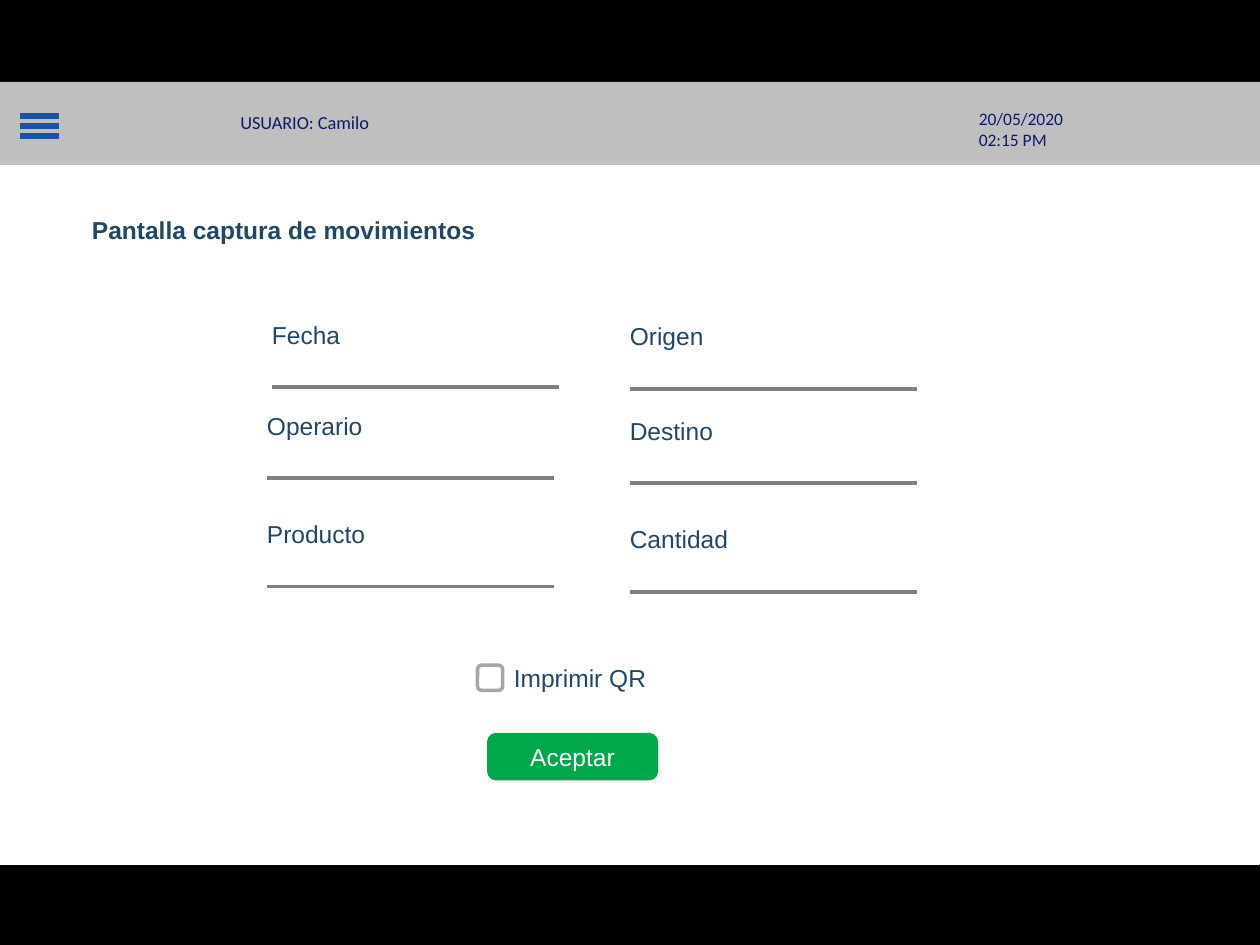
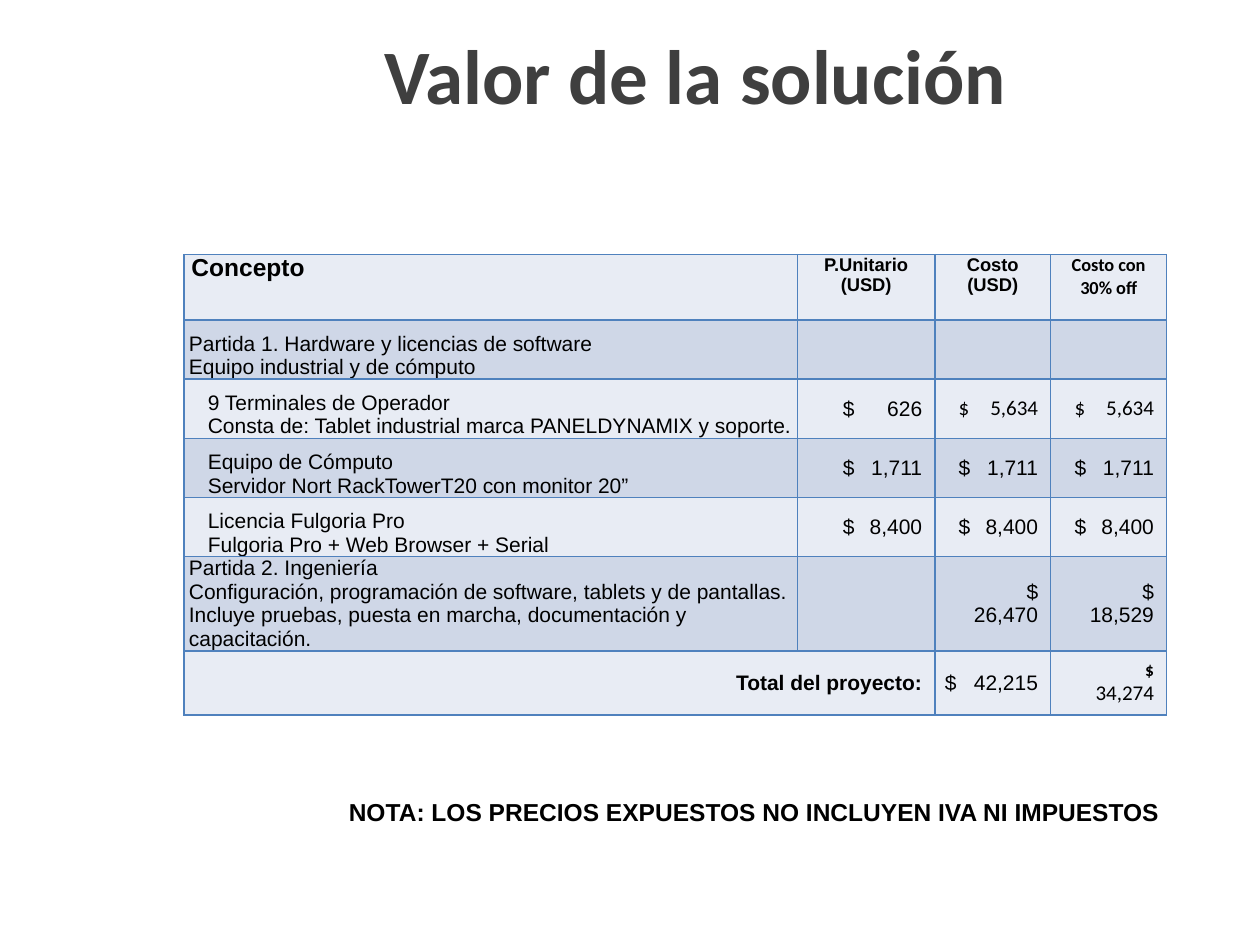
from lxml.etree import SubElement
from pptx import Presentation
from pptx.dml.color import RGBColor
from pptx.enum.shapes import MSO_CONNECTOR, MSO_SHAPE
from pptx.enum.text import MSO_ANCHOR, PP_ALIGN
from pptx.oxml.ns import qn
from pptx.util import Inches, Pt

COLORS = {
    "black": "000000", "white": "FFFFFF", "bar": "BFBFBF", "user": "0C1B67",
    "menu": "1B53A4", "label": "224765", "rule": "808080", "check": "A6A6A6",
    "accept": "00A74B", "title": "3F3F3F", "border": "4F81BD",
    "light": "E8ECF4", "dark": "CFD7E7",
}
RGB = {name: RGBColor.from_string(value) for name, value in COLORS.items()}

prs = Presentation()
prs.slide_width, prs.slide_height = Inches(10), Inches(7.5)
COLUMN, ROW = prs.slide_width // 100, prs.slide_height // 75


def area(left, top, width, height):
    """Grid of 100 columns by 75 rows."""
    return [round(n * unit) for n, unit in
            zip((left, top, width, height), (COLUMN, ROW, COLUMN, ROW))]


def write(frame, text, size, color="label", font="Arial", bold=False,
          align=PP_ALIGN.LEFT, anchor=MSO_ANCHOR.TOP, wrap=True):
    frame.text = text
    frame.word_wrap = wrap
    frame.vertical_anchor = anchor
    for paragraph in frame.paragraphs:
        paragraph.alignment = align
        for run in paragraph.runs:
            run.font.size, run.font.name, run.font.bold = Pt(size), font, bold
            run.font.color.rgb = RGB[color]


# Both slides share the title layout
capture, pricing = [prs.slides.add_slide(prs.slide_layouts[5]) for _ in range(2)]
titles = [
    (capture, "black", "Pantalla captura de movimientos", (6.3, 16.6, 32.6, 3.4),
     dict(size=14, wrap=False)),
    (pricing, "white", "Valor de la solución", (29.5, 1.3, 69.3, 9.1),
     dict(size=44, color="title", font="Calibri", anchor=MSO_ANCHOR.MIDDLE)),
]
for slide, background, heading, place, style in titles:
    slide.background.fill.solid()
    slide.background.fill.fore_color.rgb = RGB[background]
    title = slide.shapes.title
    title.left, title.top, title.width, title.height = area(*place)
    write(title.text_frame, heading, bold=True, **style)

# Slide 1: screen, top bar, button and check box
shapes = capture.shapes
panels = [
    (MSO_SHAPE.RECTANGLE, (0, 7, 99.9, 61.5), "white", "white", ""),
    (MSO_SHAPE.RECTANGLE, (-0.1, 6.5, 100.1, 6.6), "bar", None, ""),
    (MSO_SHAPE.ROUNDED_RECTANGLE, (38.8, 58.3, 13.3, 3.5), "accept", "accept", "Aceptar"),
    (MSO_SHAPE.ROUNDED_RECTANGLE, (37.9, 52.8, 2, 2), None, "check", ""),
]
for kind, place, fill, outline, caption in panels:
    panel = shapes.add_shape(kind, *area(*place))
    panel.shadow.inherit = False
    if fill:
        panel.fill.solid()
        panel.fill.fore_color.rgb = RGB[fill]
    else:
        panel.fill.background()
    if outline:
        panel.line.color.rgb = RGB[outline]
        panel.line.width = Pt(2)
    else:
        panel.line.fill.background()
    if caption:
        write(panel.text_frame, caption, 14, "white",
              align=PP_ALIGN.CENTER, anchor=MSO_ANCHOR.MIDDLE)

# Bring the heading in front of the white screen
shapes[-1]._element.addnext(shapes.title._element)

# Form fields: each label stands above its rule
fields = [
    ("Fecha", 20.6, 24.9), ("Operario", 20.2, 32.1), ("Producto", 20.2, 40.7),
    ("Origen", 49, 25), ("Destino", 49, 32.5), ("Cantidad", 49, 41.1),
]
user_style = dict(color="user", font="Calibri")
labels = [(name, (left, top, 21.5, 3.4), dict(size=14)) for name, left, top in fields]
labels += [
    ("Imprimir QR", (39.8, 52.1, 13.3, 3.4), dict(size=14)),
    ("USUARIO: Camilo", (18.1, 8.3, 18.4, 2.8), dict(size=10.5, **user_style)),
    ("20/05/2020\n02:15 PM", (76.7, 8.1, 9, 4.4), dict(size=10, **user_style)),
]
for text, place, style in labels:
    write(shapes.add_textbox(*area(*place)).text_frame, text, **style)

rules = [(left + 1, top + 5.85, 22.75, "rule", 2.25) for _, left, top in fields]
rules += [(1.6, 9.2 + 0.8 * bar, 3.1, "menu", 3.25) for bar in range(3)]
for left, top, length, color, weight in rules:
    x, y, width, _ = area(left, top, length, 0)
    rule = shapes.add_connector(MSO_CONNECTOR.STRAIGHT, x, y, x + width, y)
    rule.line.color.rgb = RGB[color]
    rule.line.width = Pt(weight)
    SubElement(rule._element.spPr, qn("a:effectLst"))

# Slide 2: price table; a tab sets the currency sign apart from the amount
column_widths = [48.7, 10.9, 9.2, 9.2]
row_heights = [5.2, 4.7, 4.7, 4.7, 4.7, 7.1, 5.1]
prices = [
    ["Concepto", "P.Unitario\n(USD)", "Costo (USD)", "Costo con 30% off"],
    ["Partida 1. Hardware y licencias de software\nEquipo industrial y de cómputo", "", "", ""],
    ["9 Terminales de Operador\nConsta de: Tablet industrial marca PANELDYNAMIX y soporte.",
     "\t$\t626", "\t$\t5,634", "\t$\t5,634"],
    ["Equipo de Cómputo\nServidor Nort RackTowerT20 con monitor 20”",
     "\t$\t1,711", "\t$\t1,711", "\t$\t1,711"],
    ["Licencia Fulgoria Pro\nFulgoria Pro + Web Browser + Serial",
     "\t$\t8,400", "\t$\t8,400", "\t$\t8,400"],
    ["Partida 2. Ingeniería\nConfiguración, programación de software, tablets y de pantallas. "
     "Incluye pruebas, puesta en marcha, documentación y capacitación.",
     "", "$\v26,470", "$\v18,529"],
    ["Total del proyecto:", "", "\t$\t42,215", "$\v34,274"],
]
TOTAL = len(prices) - 1
calibri_cells = {(0, 3), (2, 2), (2, 3), (TOTAL, 3)}
table = pricing.shapes.add_table(
    len(prices), len(column_widths),
    *area(14.6, 20.2, sum(column_widths), sum(row_heights))).table
table.first_row = table.horz_banding = False
for column, width in zip(table.columns, column_widths):
    column.width = round(width * COLUMN)
for row, height in zip(table.rows, row_heights):
    row.height = round(height * ROW)
table.cell(TOTAL, 0).merge(table.cell(TOTAL, 1))

for r, row in enumerate(prices):
    for c, text in enumerate(row):
        cell = table.cell(r, c)
        # Borders come before the fill
        properties = cell._tc.get_or_add_tcPr()
        for side in ("a:lnL", "a:lnR", "a:lnT", "a:lnB"):
            border = SubElement(properties, qn(side), w=str(Pt(1)))
            paint = SubElement(border, qn("a:solidFill"))
            SubElement(paint, qn("a:srgbClr"), val=COLORS["border"])
        cell.fill.solid()
        cell.fill.fore_color.rgb = RGB["dark" if r % 2 else "light"]
        if not text:
            continue

        is_price = "$" in text
        margin = 0.6 if r in (0, TOTAL) else 0.4
        cell.margin_left = round(margin * COLUMN)
        cell.margin_right = COLUMN if "\v" in text or (r, c) == (TOTAL, 0) else cell.margin_left
        cell.margin_top = cell.margin_bottom = 0
        if r == 0:
            size, align, anchor = 10.5, PP_ALIGN.CENTER, MSO_ANCHOR.TOP
            if c == 0:
                size, align = 14, PP_ALIGN.LEFT
        elif "\t" in text:
            size, align, anchor = 12, PP_ALIGN.LEFT, MSO_ANCHOR.MIDDLE
        elif is_price or r == TOTAL:
            size, align, anchor = 12, PP_ALIGN.RIGHT, MSO_ANCHOR.MIDDLE
        else:
            size, align, anchor = 12, PP_ALIGN.LEFT, MSO_ANCHOR.BOTTOM
        write(cell.text_frame, text, size, "black",
              "Calibri" if (r, c) in calibri_cells else "Arial",
              r == 0 or (r, c) == (TOTAL, 0), align)
        cell.vertical_anchor = anchor

        for paragraph in cell.text_frame.paragraphs:
            layout = paragraph._p.get_or_add_pPr()
            if c == 0 and r in (2, 3, 4):
                layout.set("marL", str(round(1.5 * COLUMN)))
            if "\t" in text:
                amount_end = column_widths[c] - margin - 1
                sign_start = amount_end - (7.4 if r == TOTAL else 6.3)
                stops = SubElement(layout, qn("a:tabLst"))
                for position, kind in ((sign_start, "l"), (amount_end, "r")):
                    SubElement(stops, qn("a:tab"), pos=str(round(position * COLUMN)), algn=kind)

total_sign = table.cell(TOTAL, 3).text_frame.paragraphs[0].runs[0]
total_sign.font.size, total_sign.font.bold = Pt(10), True

# Note below the table
note = pricing.shapes.add_textbox(*area(26.7, 62.8, 66.6, 3.4))
write(note.text_frame, "NOTA: LOS PRECIOS EXPUESTOS NO INCLUYEN IVA NI IMPUESTOS",
      14, "black", bold=True)

prs.save("out.pptx")
